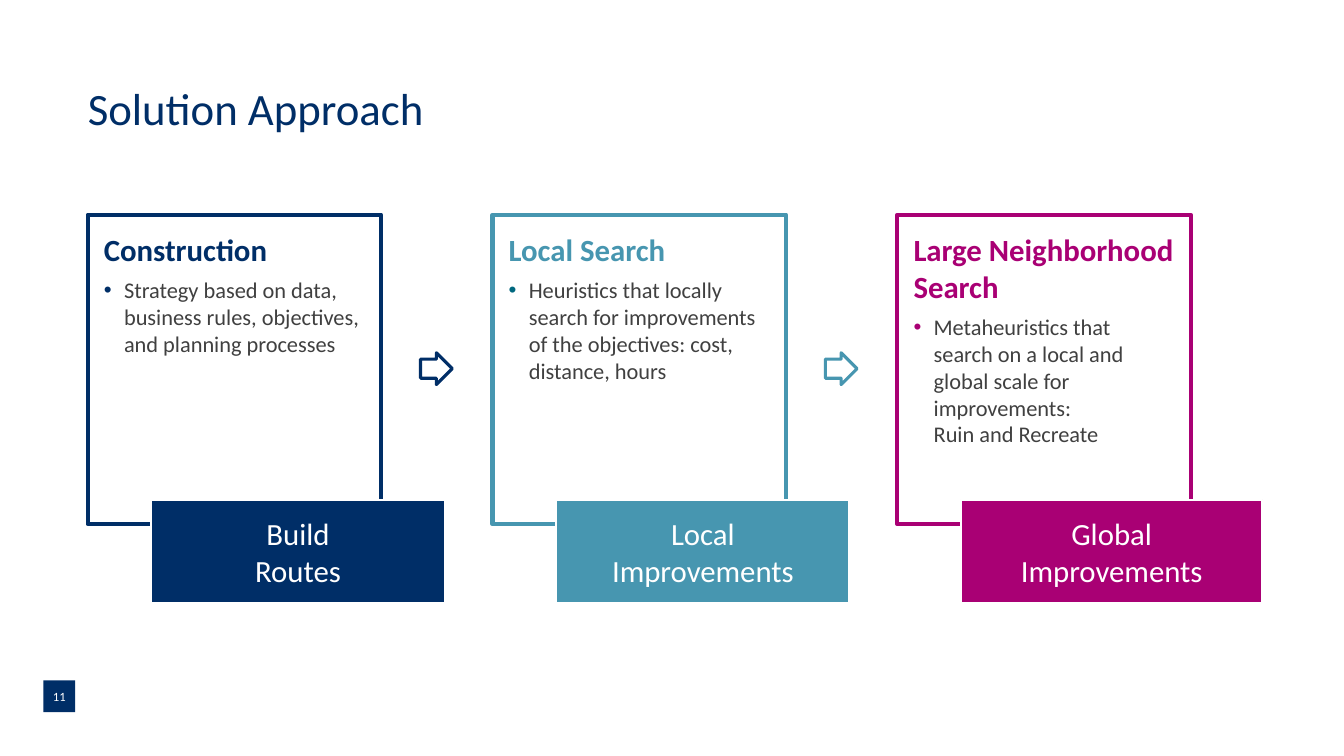
import lxml.etree
import pptx
import pptx.dml.color
import pptx.enum.shapes
import pptx.enum.text
import pptx.oxml.ns
import pptx.util

NAVY, TEAL, DARK_TEAL, MAGENTA = "002E67", "4796B0", "00687F", "A90074"
WHITE, GREY = "FFFFFF", "404040"
ALIGN = pptx.enum.text.PP_ALIGN
ANCHOR = pptx.enum.text.MSO_ANCHOR
SHAPES = pptx.enum.shapes.MSO_SHAPE

# Shares of the slide, in percent
MARGIN, STAGE_PITCH = 6.53, 30.12
CARD_TOP, CARD_WIDTH, CARD_HEIGHT = 28.4, 21.83, 40.93
LABEL_SHIFT, LABEL_TOP, LABEL_HEIGHT = 4.73, 66.13, 13.6
ARROW_SHIFT, ARROW_TOP, ARROW_WIDTH, ARROW_HEIGHT = 24.76, 46.67, 2.36, 4.2

# heading, description, label, label width, colour, bullet colour
STAGES = [
    ("Construction",
     "Strategy based on data, business rules, objectives, and planning processes",
     "Build\nRoutes", 21.83, NAVY, NAVY),
    ("Local Search",
     "Heuristics that locally search for improvements of the objectives: "
     "cost, distance, hours",
     "Local\nImprovements", 21.83, TEAL, DARK_TEAL),
    ("Large Neighborhood Search",
     "Metaheuristics that search on a local and global scale for improvements:\n"
     "Ruin and Recreate",
     "Global\nImprovements", 22.43, MAGENTA, MAGENTA),
]


def rgb(colour):
    return pptx.dml.color.RGBColor.from_string(colour)


class ApproachSlide:
    font = "Calibri"

    def __init__(self, deck):
        self.width, self.height = deck.slide_width, deck.slide_height
        self.slide = deck.slides.add_slide(deck.slide_layouts[6])

    def place(self, left, top, width, height):
        """Turn percentages of the slide into lengths."""
        return [round(share * side / 100) for share, side in
                ((left, self.width), (top, self.height),
                 (width, self.width), (height, self.height))]

    def add_words(self, paragraph, words, size, colour, bold=False):
        for number, line in enumerate(words.split("\n")):
            if number:
                paragraph.add_line_break()
            run = paragraph.add_run()
            run.text = line
            run.font.name = self.font
            run.font.size = pptx.util.Pt(size)
            run.font.bold = bold
            run.font.color.rgb = rgb(colour)

    def frame(self, holder, anchor, inset=0, wrap=True):
        body = holder.text_frame
        body.word_wrap = wrap
        body.vertical_anchor = anchor
        body.margin_left = body.margin_right = pptx.util.Inches(inset)
        body.margin_top = body.margin_bottom = pptx.util.Inches(inset)
        return body

    def title(self, words, *area):
        holder = self.slide.shapes.add_textbox(*self.place(*area))
        paragraph = self.frame(holder, ANCHOR.MIDDLE).paragraphs[0]
        paragraph.line_spacing = 0.9
        self.add_words(paragraph, words, 32, NAVY)

    def shape(self, kind, area, fill=None, line=None, weight=0):
        drawn = self.slide.shapes.add_shape(kind, *self.place(*area))
        drawn.shadow.inherit = False
        if fill:
            drawn.fill.solid()
            drawn.fill.fore_color.rgb = rgb(fill)
        else:
            drawn.fill.background()
        if line:
            drawn.line.color.rgb = rgb(line)
            drawn.line.width = pptx.util.Pt(weight)
        else:
            drawn.line.fill.background()
        return drawn

    def label(self, words, size, fill, *area, line=None):
        block = self.shape(SHAPES.RECTANGLE, area, fill, line, 1.5)
        paragraph = self.frame(block, ANCHOR.MIDDLE, wrap=False).paragraphs[0]
        paragraph.alignment = ALIGN.CENTER
        self.add_words(paragraph, words, size, WHITE)

    def bullet(self, paragraph, colour):
        properties = paragraph._p.get_or_add_pPr()
        indent = pptx.util.Inches(0.2)
        properties.set("marL", str(indent))
        properties.set("indent", str(-indent))
        qn = pptx.oxml.ns.qn
        tint = lxml.etree.SubElement(properties, qn("a:buClr"))
        lxml.etree.SubElement(tint, qn("a:srgbClr"), val=colour)
        lxml.etree.SubElement(properties, qn("a:buFont"), typeface="Arial")
        lxml.etree.SubElement(properties, qn("a:buChar"), char="•")

    def card(self, heading, description, colour, bullet_colour, *area):
        panel = self.shape(SHAPES.RECTANGLE, area, WHITE, colour, 3)
        body = self.frame(panel, ANCHOR.TOP, inset=0.16)
        top = body.paragraphs[0]
        top.alignment = ALIGN.LEFT
        top.space_after = pptx.util.Pt(6)
        self.add_words(top, heading, 22, colour, bold=True)
        detail = body.add_paragraph()
        detail.alignment = ALIGN.LEFT
        detail.level = 1
        self.bullet(detail, bullet_colour)
        self.add_words(detail, description, 16, GREY)

    def arrow(self, colour, *area):
        pointer = self.shape(SHAPES.RIGHT_ARROW, area, line=colour, weight=2.25)
        pointer.adjustments[0] = 0.6
        pointer.adjustments[1] = 0.5


def main():
    deck = pptx.Presentation()
    deck.slide_width = pptx.util.Inches(13.33)
    deck.slide_height = pptx.util.Inches(7.5)
    page = ApproachSlide(deck)

    page.title("Solution Approach", MARGIN, 11.6, 87.02, 6.13)
    page.label("11", 9, NAVY, 3.23, 90, 2.36, 4.2)

    for index, stage in enumerate(STAGES):
        heading, description, result, result_width, colour, bullet_colour = stage
        left = MARGIN + index * STAGE_PITCH
        page.card(heading, description, colour, bullet_colour,
                  left, CARD_TOP, CARD_WIDTH, CARD_HEIGHT)
        page.label(result, 22, colour, left + LABEL_SHIFT, LABEL_TOP,
                   result_width, LABEL_HEIGHT, line=WHITE)
        if index < len(STAGES) - 1:
            page.arrow(colour, left + ARROW_SHIFT, ARROW_TOP,
                       ARROW_WIDTH, ARROW_HEIGHT)

    deck.save("out.pptx")


if __name__ == "__main__":
    main()
